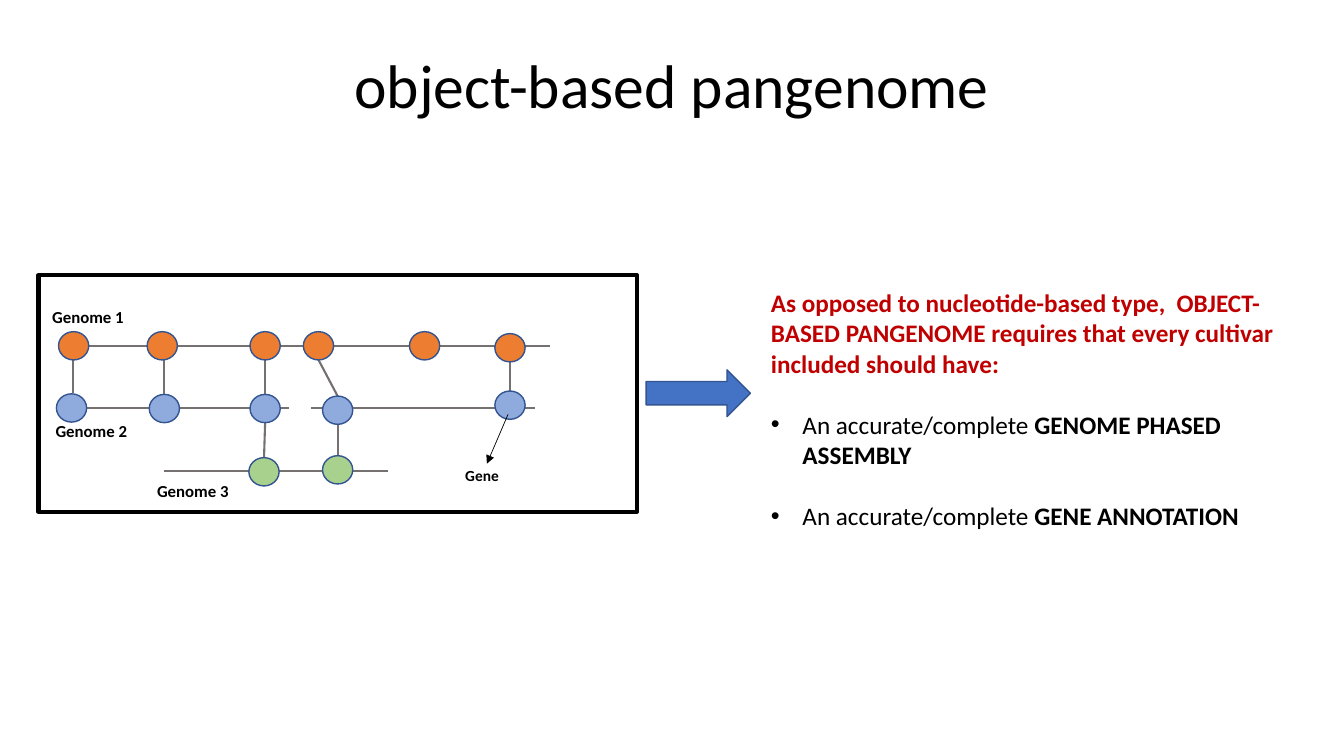
from lxml import etree
from pptx import Presentation
from pptx import util as u
from pptx.dml.color import RGBColor
from pptx.enum import shapes, text
from pptx.oxml import ns

Pt = u.Pt
BLACK, GREY, EDGE, RED = "000000", "767171", "325491", "C00000"
ORANGE, BLUE, GREEN, ARROW = "ED7D31", "8FAADC", "A9D18E", "4472C4"


def color(code):
    return RGBColor.from_string(code)


def put(item, **form):
    for key, val in form.items():
        setattr(item, key, val)


class Page:
    font = "Calibri"
    node_w, node_h = 21.6, 20.2

    def __init__(self, slide):
        self.slide = slide
        self.items = slide.shapes

    def run(self, par, words, size, code=BLACK, bold=False):
        run = par.add_run()
        run.text = words
        put(run.font, name=self.font, size=Pt(size), bold=bold)
        run.font.color.rgb = color(code)

    def title(self, words, left, top, wide, high):
        box = self.items.title
        put(box, left=Pt(left), top=Pt(top), width=Pt(wide), height=Pt(high))
        put(box.text_frame, vertical_anchor=text.MSO_ANCHOR.MIDDLE, word_wrap=True)
        par = box.text_frame.paragraphs[0]
        put(par, alignment=text.PP_ALIGN.CENTER, line_spacing=0.9)
        self.run(par, words, 44)

    def shape(self, kind, left, top, wide, high, fill=None, edge=EDGE, thick=1):
        item = self.items.add_shape(kind, Pt(left), Pt(top), Pt(wide), Pt(high))
        item.shadow.inherit = False
        if fill:
            item.fill.solid()
            item.fill.fore_color.rgb = color(fill)
        else:
            item.fill.background()
        item.line.color.rgb = color(edge)
        item.line.width = Pt(thick)

    def node(self, x, y, fill):
        wide, high = self.node_w, self.node_h
        self.shape(shapes.MSO_SHAPE.OVAL, x - wide / 2, y - high / 2, wide, high, fill)

    def line(self, x1, y1, x2, y2, code=GREY, thick=1.5, head=False):
        item = self.items.add_connector(
            shapes.MSO_CONNECTOR.STRAIGHT, Pt(x1), Pt(y1), Pt(x2), Pt(y2))
        item.line.color.rgb = color(code)
        item.line.width = Pt(thick)
        if head:
            etree.SubElement(item.line._get_or_add_ln(), ns.qn("a:tailEnd"), type="triangle")
        etree.SubElement(item._element.spPr, ns.qn("a:effectLst"))

    def box(self, left, top, wide, high):
        frame = self.items.add_textbox(Pt(left), Pt(top), Pt(wide), Pt(high)).text_frame
        put(frame, word_wrap=True, auto_size=text.MSO_AUTO_SIZE.SHAPE_TO_FIT_TEXT)
        return frame

    def label(self, words, left, top, wide=111.6, size=12):
        self.run(self.box(left, top, wide, 21.6).paragraphs[0], words, size, bold=True)

    def bullet(self, frame, plain, strong, size=18, gap=22):
        par = frame.add_paragraph()
        props = par._p.get_or_add_pPr()
        props.set("marL", str(Pt(22.5)))
        props.set("indent", str(Pt(-22.5)))
        etree.SubElement(props, ns.qn("a:buFont"), typeface="Arial")
        etree.SubElement(props, ns.qn("a:buChar"), char="•")
        par.space_before = Pt(gap)
        self.run(par, plain, size)
        self.run(par, strong, size, bold=True)


def main():
    deck = Presentation()
    put(deck, slide_width=Pt(960), slide_height=Pt(540))
    page = Page(deck.slides.add_slide(deck.slide_layouts[5]))
    page.title("object-based pangenome", 66, 10.8, 828, 104.4)

    # Frame and genome tracks
    page.shape(shapes.MSO_SHAPE.RECTANGLE, 27.5, 196.5, 427.5, 169, edge=BLACK, thick=3)
    for x1, x2, y in [(41.8, 393, 247), (46.8, 206.6, 291.4),
                      (222.5, 382.3, 291.2), (117.4, 277.2, 336.6)]:
        page.line(x1, y, x2, y)

    # Links between genes of neighbouring genomes
    for link in [(52, 281, 52, 256), (117.4, 281.5, 117.4, 256.5),
                 (189.4, 281.5, 189.4, 257), (241.2, 283, 227.5, 257),
                 (364.3, 279.4, 364.3, 258), (188.6, 327, 189.4, 301.7),
                 (241.2, 325.5, 241.2, 302.5)]:
        page.line(*link)

    # Genes
    genes = {
        ORANGE: [(52.6, 247), (115.9, 247), (189.4, 247), (227.5, 247),
                 (303.3, 247), (364.3, 248.4)],
        BLUE: [(51.1, 291.4), (117.4, 291.8), (189.4, 291.8), (241.2, 293),
               (364.3, 289.4)],
        GREEN: [(188.6, 337), (241.2, 335.6)],
    }
    for fill, spots in genes.items():
        for x, y in spots:
            page.node(x, y, fill)

    # Labels
    page.label("Genome 1", 30.2, 215.3)
    page.label("Genome 2", 32.6, 296.9)
    page.label("Genome 3", 105.1, 339.8)
    page.line(362.9, 296, 347.8, 331.2, BLACK, 0.5, head=True)
    page.label("Gene", 325.2, 329.2, 104.4, 11)

    # Requirements
    page.shape(shapes.MSO_SHAPE.RIGHT_ARROW, 461.5, 264.2, 74.5, 33.4, ARROW)
    frame = page.box(543.6, 201.8, 386, 181.4)
    page.run(frame.paragraphs[0],
             "As opposed to nucleotide-based type,  OBJECT-BASED PANGENOME "
             "requires that every cultivar included should have:", 18, RED, True)
    for need in ["GENOME PHASED ASSEMBLY", "GENE ANNOTATION"]:
        page.bullet(frame, "An accurate/complete ", need)

    deck.save("out.pptx")


if __name__ == "__main__":
    main()
